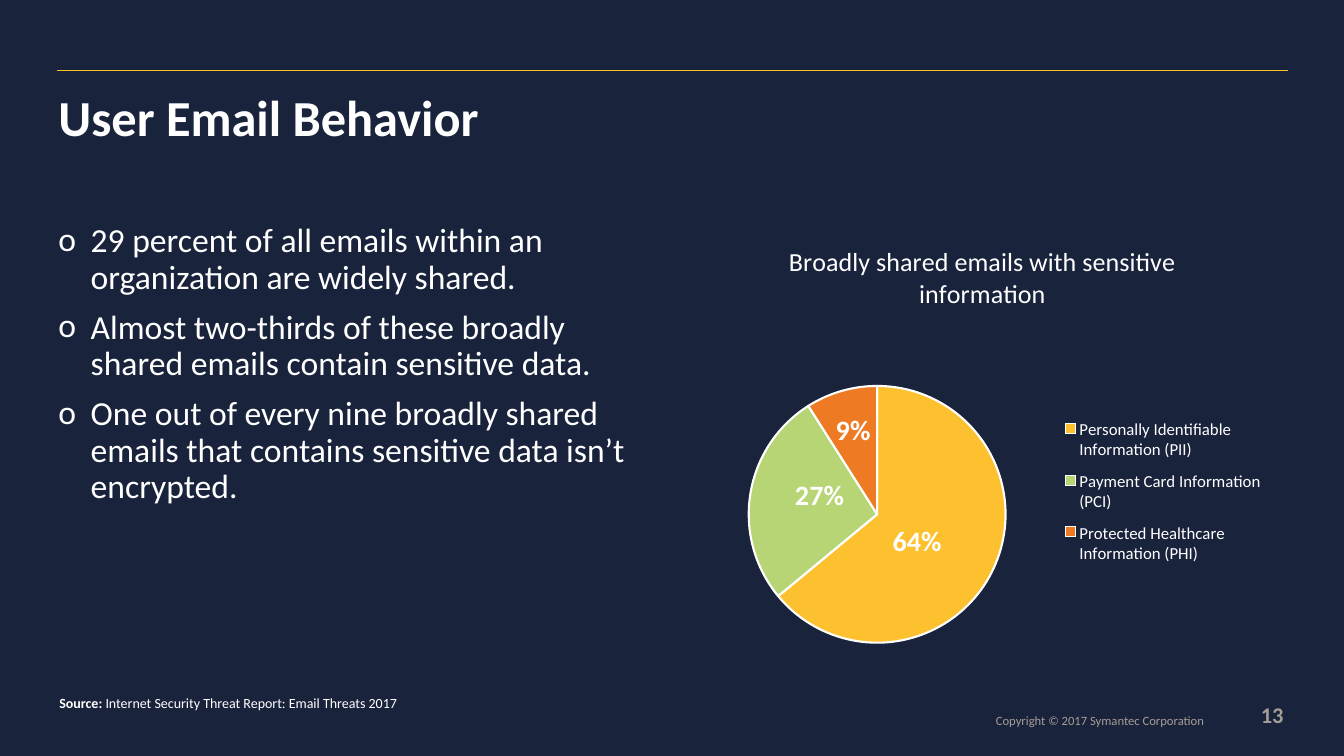
from lxml import etree
from pptx import Presentation
from pptx.chart.data import CategoryChartData
from pptx.dml.color import RGBColor
from pptx.enum import chart as ch, shapes, text
from pptx.oxml import ns
from pptx.util import Inches, Pt

# Content
TITLE = "User Email Behavior"
BULLETS = [
    "29 percent of all emails within an organization are widely shared.",
    "Almost two-thirds of these broadly shared emails contain sensitive data.",
    "One out of every nine broadly shared emails that contains sensitive data isn’t encrypted.",
]
SOURCE = [("Source: ", True), ("Internet Security Threat Report: Email Threats 2017", False)]
COPYRIGHT = "Copyright © 2017 Symantec Corporation"
PAGE = "13"
CHART_TITLE = "Broadly shared emails with sensitive information"
# category, value, slice colour, label shift as a share of the chart
SLICES = [
    ("Personally Identifiable Information (PII)", 0.64, "FDC130", (-0.03, 0)),
    ("Payment Card Information (PCI)", 0.27, "B7D575", (0.01, -0.02)),
    ("Protected Healthcare Information (PHI)", 0.09, "EE7B23", (-0.01, -0.05)),
]

THEME = {
    "font": "Calibri", "bg": "19233C", "text": "FFFFFF", "muted": "A79D97", "rule": "FDC130",
    "title": 36, "body": 24, "page": 16, "copyright": 9, "source": 10,
    "chart_title": 18.6, "legend": 12, "label": 20,
}
LEFT, RIGHT, BODY_TOP, BODY_W, BODY_H = 0.58, 12.73, 2.22, 5.97, 4.47
INDENT = Inches(0.32)


def rgb(value):
    return RGBColor.from_string(value)


def style(font, size, color="text", bold=False):
    font.name, font.size, font.bold = THEME["font"], Pt(THEME[size]), bold
    font.color.rgb = rgb(THEME[color])


def add_text(slide, box, paragraphs, size, color="text", bold=False, inset=0, align=None,
             anchor=text.MSO_ANCHOR.TOP, wrap=True, spacing=None):
    tf = slide.shapes.add_textbox(*map(Inches, box)).text_frame
    tf.word_wrap, tf.vertical_anchor = wrap, anchor
    tf.margin_left = tf.margin_right = Inches(inset)
    tf.margin_top = tf.margin_bottom = Inches(inset / 2)
    for i, line in enumerate(paragraphs):
        p = tf.paragraphs[0] if i == 0 else tf.add_paragraph()
        p.alignment, p.line_spacing = align, spacing
        for words, strong in ([(line, bold)] if isinstance(line, str) else line):
            r = p.add_run()
            r.text = words
            style(r.font, size, color, strong)
    return tf


def add_layout(parent, index, **values):
    """Place a chart part by shares of the chart's width and height."""
    for old in parent.findall(ns.qn("c:layout")):
        parent.remove(old)
    layout = etree.Element(ns.qn("c:layout"))
    manual = etree.SubElement(layout, ns.qn("c:manualLayout"))
    for tag, value in values.items():
        etree.SubElement(manual, ns.qn("c:" + tag)).set("val", str(value))
    parent.insert(index, layout)


prs = Presentation()
prs.slide_width, prs.slide_height = Inches(13.33), Inches(7.5)
slide = prs.slides.add_slide(prs.slide_layouts[6])
slide.background.fill.solid()
slide.background.fill.fore_color.rgb = rgb(THEME["bg"])

# Top rule
rule = slide.shapes.add_connector(shapes.MSO_CONNECTOR.STRAIGHT,
                                  *map(Inches, (0.57, 0.7, 12.77, 0.7)))
rule.line.color.rgb, rule.line.width = rgb(THEME["rule"]), Pt(0.75)
etree.SubElement(rule._element.spPr, ns.qn("a:effectLst"))

# Title and bullets
add_text(slide, (LEFT, 0.97, RIGHT - LEFT, 0.61), [TITLE], "title", bold=True, spacing=0.8)
body = add_text(slide, (LEFT, BODY_TOP, BODY_W, BODY_H), BULLETS, "body", spacing=0.9)
for i, p in enumerate(body.paragraphs):
    if i:
        p.space_before = Pt(10)
    pPr = p._p.get_or_add_pPr()
    pPr.set("marL", str(INDENT))
    pPr.set("indent", str(-INDENT))
    etree.SubElement(pPr, ns.qn("a:buFont")).set("typeface", THEME["font"])
    etree.SubElement(pPr, ns.qn("a:buChar")).set("char", "o")

# Pie chart
data = CategoryChartData(number_format="0%")
data.categories = [name for name, *_ in SLICES]
data.add_series(CHART_TITLE, [value for _, value, *_ in SLICES])
chart = slide.shapes.add_chart(
    ch.XL_CHART_TYPE.PIE, *map(Inches, (RIGHT - BODY_W, BODY_TOP, BODY_W, BODY_H)), data).chart
style(chart.font, "legend")
chart.has_title = True
chart.chart_title.text_frame.text = CHART_TITLE
style(chart.chart_title.text_frame.paragraphs[0].runs[0].font, "chart_title")
chart.chart_title.include_in_layout = False
chart.has_legend = True
legend = chart.legend
legend.position, legend.include_in_layout = ch.XL_LEGEND_POSITION.RIGHT, False
style(legend.font, "legend")
add_layout(legend._element, 1, xMode="edge", yMode="edge", x=0.62, y=0.41, w=0.36, h=0.37)

plot = chart.plots[0]
plot.vary_by_categories = True
add_layout(chart._chartSpace.chart.plotArea, 0, layoutTarget="inner", xMode="edge",
           yMode="edge", x=0.11, y=0.36, w=0.43, h=0.57)
plot.has_data_labels = True
labels = plot.data_labels
labels.show_value, labels.show_percentage = True, False
labels.number_format, labels.number_format_is_linked = "0%", False
style(labels.font, "label", bold=True)
for i, (_, _, color, (dx, dy)) in enumerate(SLICES):
    point = plot.series[0].points[i]
    point.format.fill.solid()
    point.format.fill.fore_color.rgb = rgb(color)
    point.format.line.color.rgb, point.format.line.width = rgb(THEME["text"]), Pt(1.5)
    label = point.data_label
    style(label.font, "label", bold=True)
    label.position = ch.XL_LABEL_POSITION.CENTER
    add_layout(label._dLbl, 1, x=dx, y=dy)

# Source and footer
add_text(slide, (0.49, 6.84, 3.67, 0.29), [SOURCE], "source", inset=0.1)
footer = {"color": "muted", "align": text.PP_ALIGN.RIGHT, "anchor": text.MSO_ANCHOR.BOTTOM}
add_text(slide, (6.93, 7.03, 5.01, 0.19), [COPYRIGHT], "copyright", spacing=0.9, **footer)
add_text(slide, (12.39, 7.07, 0.34, 0.15), [PAGE], "page", bold=True, **footer)

prs.save("out.pptx")
